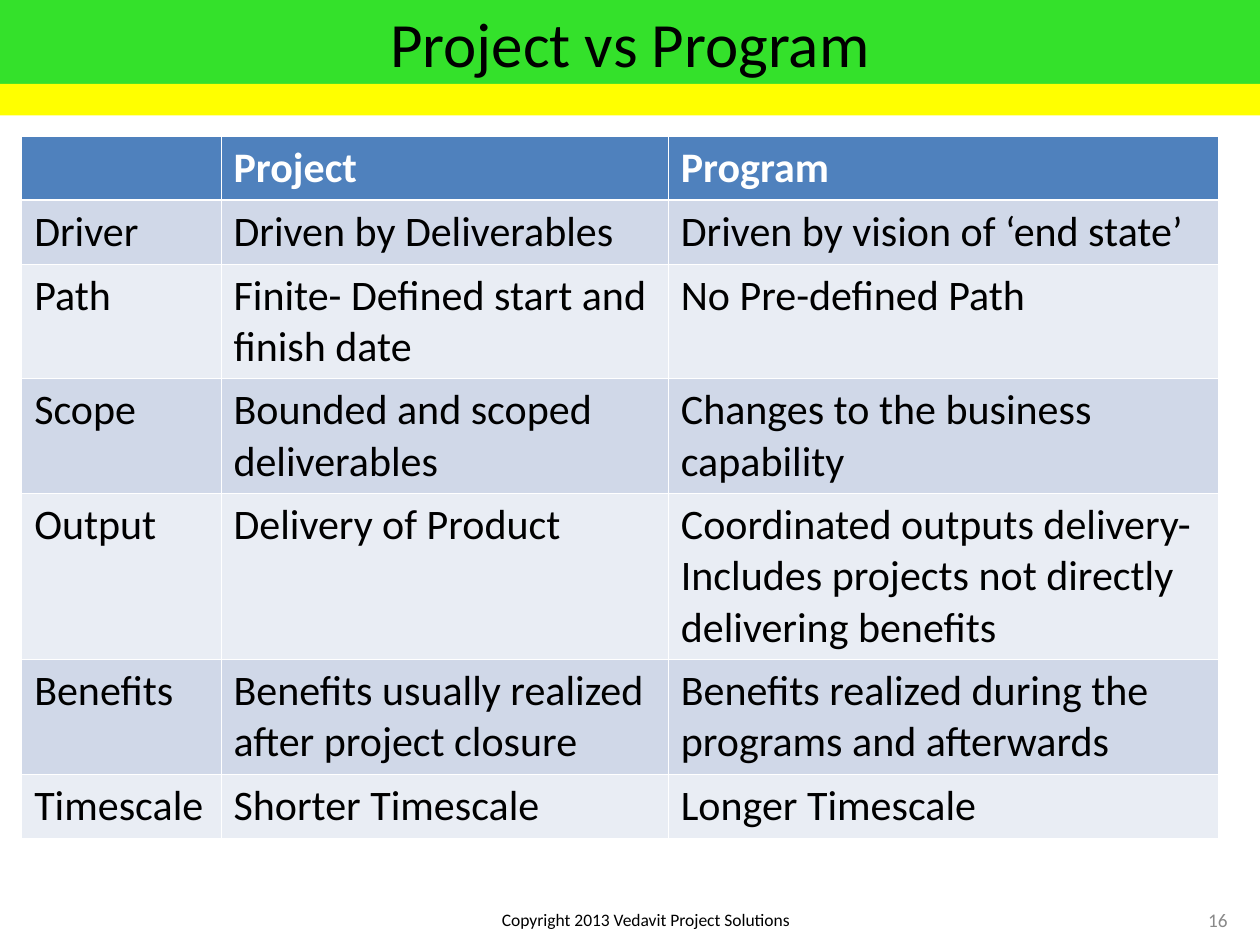
from typing import NamedTuple

from lxml import etree
from pptx import Presentation
from pptx.dml.color import RGBColor
from pptx.enum import shapes, text
from pptx.oxml import ns
from pptx.util import Pt

FONT = "Calibri"
BLACK, WHITE = "000000", "FFFFFF"
HEADER_FILL = "4F81BD"
BAND_FILLS = ("D0D8E8", "E9EDF4")
THIN, THICK = 0.45, 1.47
COLUMN_WIDTHS = (113.9, 255.6, 314.2)
LINE_HEIGHT, CELL_PADDING = 29.2, 7.2


class Box(NamedTuple):
    left: float
    top: float
    width: float
    height: float

    def points(self) -> list:
        return [Pt(v) for v in self]


class Style(NamedTuple):
    size: float
    color: str = BLACK
    bold: bool = False


class Row(NamedTuple):
    aspect: str
    project: str
    program: str
    lines: int = 1


ROWS = (
    Row("", "Project", "Program"),
    Row("Driver", "Driven by Deliverables", "Driven by vision of ‘end state’"),
    Row("Path", "Finite- Defined start and finish date", "No Pre-defined Path", 2),
    Row("Scope", "Bounded and scoped deliverables",
        "Changes to the business capability", 2),
    Row("Output", "Delivery of Product",
        "Coordinated outputs delivery- Includes projects not directly "
        "delivering benefits", 3),
    Row("Benefits", "Benefits usually realized after project closure",
        "Benefits realized during the programs and afterwards", 2),
    Row("Timescale", "Shorter Timescale", "Longer Timescale"),
)


def rgb(color: str) -> RGBColor:
    return RGBColor.from_string(color)


def add_run(p, words: str, style: Style) -> None:
    r = p.add_run()
    r.text = words
    r.font.name = FONT
    r.font.size = Pt(style.size)
    r.font.bold = style.bold
    r.font.color.rgb = rgb(style.color)


def add_centred(sp, words: str, style: Style) -> None:
    tf = sp.text_frame
    tf.word_wrap = True
    tf.vertical_anchor = text.MSO_ANCHOR.MIDDLE
    p = tf.paragraphs[0]
    p.alignment = text.PP_ALIGN.CENTER
    add_run(p, words, style)


def add_band(s, box: Box, color: str):
    sp = s.shapes.add_shape(shapes.MSO_SHAPE.RECTANGLE, *box.points())
    sp.shadow.inherit = False
    sp.fill.solid()
    sp.fill.fore_color.rgb = rgb(color)
    sp.line.fill.background()
    return sp


def add_label(s, box: Box, words: str, style: Style) -> None:
    add_centred(s.shapes.add_textbox(*box.points()), words, style)


def set_borders(cell, top: float, bottom: float) -> None:
    """Draw white borders; they must precede the fill in the cell XML."""
    tc_pr = cell._tc.get_or_add_tcPr()
    for side, width in (("L", THIN), ("R", THIN), ("T", top), ("B", bottom)):
        ln = etree.SubElement(tc_pr, ns.qn(f"a:ln{side}"), w=str(int(Pt(width))))
        fill = etree.SubElement(ln, ns.qn("a:solidFill"))
        etree.SubElement(fill, ns.qn("a:srgbClr"), val=WHITE)


def add_comparison(s, left: float, top: float) -> None:
    heights = [row.lines * LINE_HEIGHT + CELL_PADDING for row in ROWS]
    box = Box(left, top, sum(COLUMN_WIDTHS), sum(heights))
    table = s.shapes.add_table(len(ROWS), len(COLUMN_WIDTHS), *box.points()).table
    for column, width in zip(table.columns, COLUMN_WIDTHS):
        column.width = Pt(width)
    for i, (row, height) in enumerate(zip(ROWS, heights)):
        table.rows[i].height = Pt(height)
        header = i == 0
        style = Style(24, WHITE if header else BLACK, header)
        fill = HEADER_FILL if header else BAND_FILLS[(i - 1) % 2]
        for j, words in enumerate((row.aspect, row.project, row.program)):
            cell = table.cell(i, j)
            set_borders(cell, THICK if i == 1 else THIN, THICK if header else THIN)
            cell.fill.solid()
            cell.fill.fore_color.rgb = rgb(fill)
            if words:
                add_run(cell.text_frame.paragraphs[0], words, style)


def main() -> None:
    prs = Presentation()
    prs.slide_width, prs.slide_height = Pt(720), Pt(540)
    s = prs.slides.add_slide(prs.slide_layouts[6])
    add_label(s, Box(264, 516.5, 210, 18), "Copyright 2013 Vedavit Project Solutions",
              Style(10))
    title = add_band(s, Box(0, 0, 720, 48), "34E12B")
    add_centred(title, "Project vs Program", Style(36))
    add_comparison(s, 12.4, 78)
    add_band(s, Box(0, 48, 720, 18), "FFFF00")
    add_label(s, Box(672, 511.5, 48, 28.5), "16", Style(11, "898989"))
    prs.save("out.pptx")


if __name__ == "__main__":
    main()
